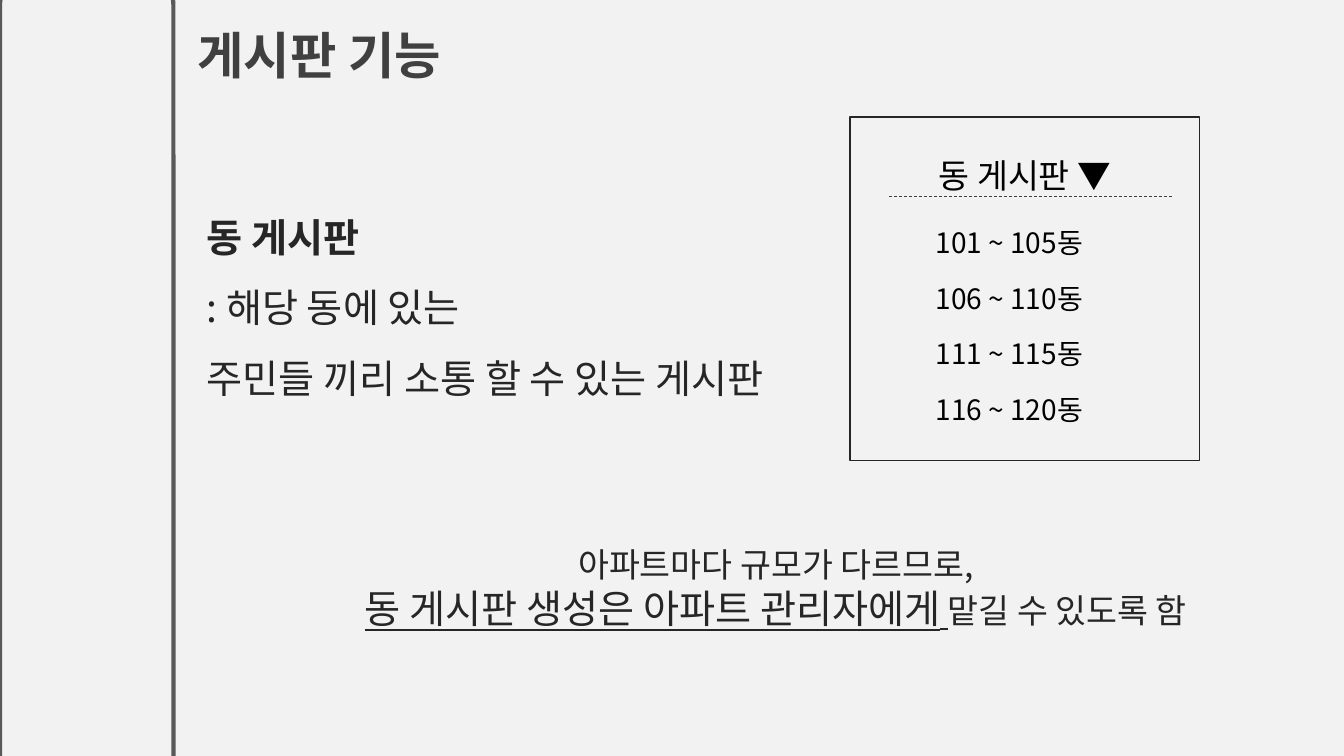
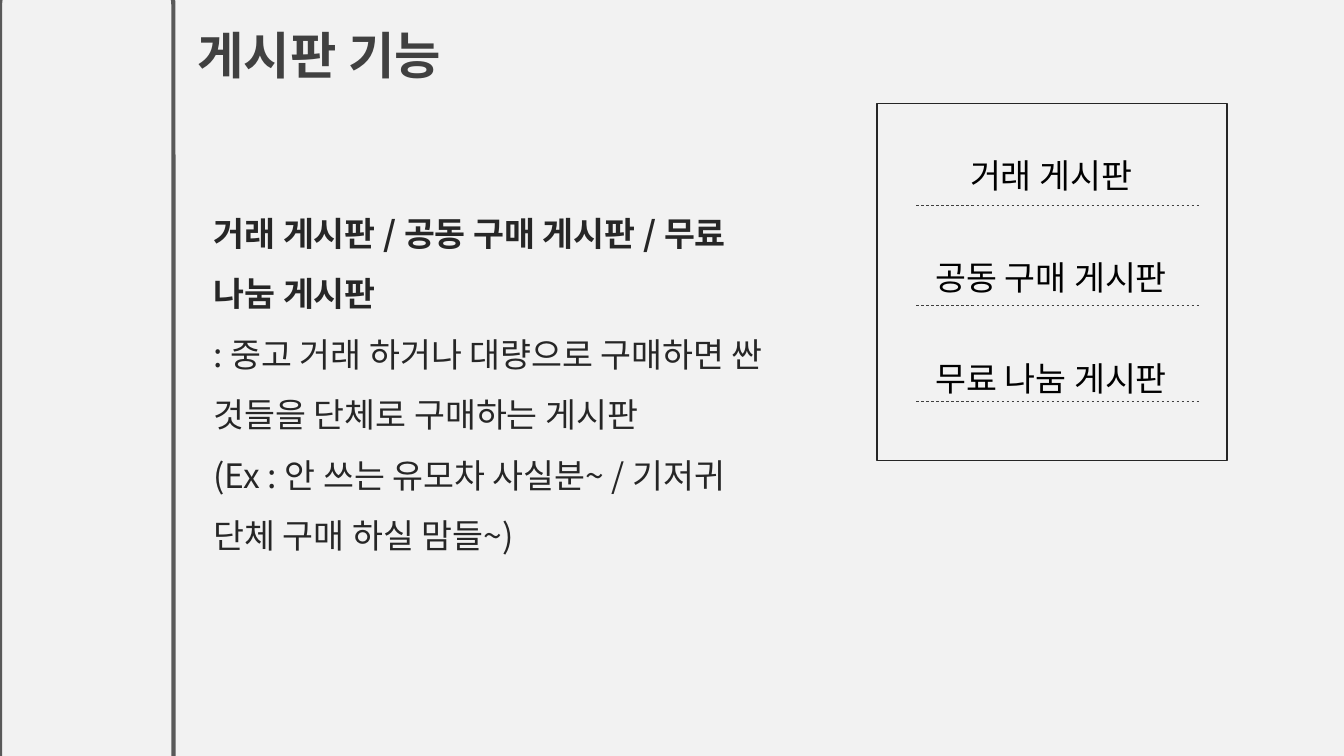
from lxml import etree
from pptx import Presentation
from pptx.dml.color import RGBColor
from pptx.enum import dml, shapes, text
from pptx.oxml import ns
from pptx.util import Inches, Pt

FONT = "Noto Sans CJK KR"
PAPER = RGBColor(0xF2, 0xF2, 0xF2)
RAIL = RGBColor(0x59, 0x59, 0x59)
HEADING = RGBColor(0x40, 0x40, 0x40)
INK = RGBColor(0x26, 0x26, 0x26)
BLACK = RGBColor(0, 0, 0)
CENTER = text.PP_ALIGN.CENTER

# Content: a paragraph is a list of runs (words, size, bold, underline)
TITLE = "게시판 기능"

BLOCK_BOARD = [
    [("동 게시판", 28, True, False)],
    [(": 해당 동에 있는", 28, False, False)],
    [("주민들 끼리 소통 할 수 있는 게시판", 28, False, False)],
]
BLOCK_MENU = "동 게시판 ▼"
BLOCK_RANGES = ["101 ~ 105동", "106 ~ 110동", "111 ~ 115동", "116 ~ 120동"]
BLOCK_NOTE = [
    [("아파트마다 규모가 다르므로,", 24, False, False)],
    [("동 게시판 생성은 아파트 관리자에게", 28, False, True),
     (" ", 24, False, True),
     ("맡길 수 있도록 함", 24, False, False)],
]

TRADE_BOARD = [
    [("거래 게시판 / 공동 구매 게시판 / 무료 나눔 게시판", 24, True, False)],
    [(": 중고 거래 하거나 대량으로 구매하면 싼 것들을 단체로 구매하는 게시판",
      24, False, False)],
    [("(Ex : 안 쓰는 유모차 사실분~ / 기저귀 단체 구매 하실 맘들~)",
      24, False, False)],
]
# Menu entry, text left, text width, y of the rule below it
TRADE_MENU = [
    ("거래 게시판", 9.49, 1.87, 2.04),
    ("공동 구매 게시판", 9.08, 2.69, 3.03),
    ("무료 나눔 게시판", 9.08, 2.69, 3.98),
]


def add_text(slide, box, paragraphs, color, wrap=True, align=None, spacing=None):
    frame = slide.shapes.add_textbox(*map(Inches, box)).text_frame
    frame.word_wrap = wrap
    frame.auto_size = text.MSO_AUTO_SIZE.SHAPE_TO_FIT_TEXT
    for i, runs in enumerate(paragraphs):
        paragraph = frame.paragraphs[0] if i == 0 else frame.add_paragraph()
        paragraph.alignment = align
        paragraph.line_spacing = spacing
        for words, size, bold, underline in runs:
            run = paragraph.add_run()
            run.text = words
            font = run.font
            font.size, font.bold, font.underline = Pt(size), bold, underline
            font.color.rgb = color
            font.name = FONT
            # Hangul takes the East Asian typeface
            etree.SubElement(run._r.get_or_add_rPr(), ns.qn("a:ea"), typeface=FONT)


def add_label(slide, box, words, size, **style):
    add_text(slide, box, [[(words, size, False, False)]], BLACK, wrap=False, **style)


def add_outline(slide, kind, box, color, weight):
    outline = slide.shapes.add_shape(kind, *map(Inches, box))
    outline.shadow.inherit = False
    outline.fill.background()
    outline.line.color.rgb = color
    outline.line.width = Pt(weight)


def add_menu_frame(slide, left, top, height):
    add_outline(slide, shapes.MSO_SHAPE.RECTANGLE, (left, top, 3.47, height), INK, 1)


def add_menu_entry(slide, words, left, top, width):
    add_label(slide, (left, top, width, 0.94), words, 24, align=CENTER, spacing=2.5)


def add_menu_rule(slide, frame_left, y):
    left = frame_left + 0.39
    rule = slide.shapes.add_connector(
        shapes.MSO_CONNECTOR.STRAIGHT,
        Inches(left), Inches(y), Inches(left + 2.82), Inches(y))
    rule.line.color.rgb = HEADING
    rule.line.width = Pt(0.5)
    rule.line.dash_style = dml.MSO_LINE.DASH
    etree.SubElement(rule._element.spPr, ns.qn("a:effectLst"))


def add_page(prs):
    """Blank slide with the side rail and title."""
    slide = prs.slides.add_slide(prs.slide_layouts[6])
    add_outline(slide, shapes.MSO_SHAPE.ROUNDED_RECTANGLE,
                (0, -0.24, 1.72, 8.11), RAIL, 3)
    add_text(slide, (1.86, 0.19, 2.72, 0.71), [[(TITLE, 36, True, False)]],
             HEADING, wrap=False)
    return slide


def build_block_page(prs):
    slide = add_page(prs)
    add_text(slide, (1.95, 1.83, 6.22, 2.14), BLOCK_BOARD, INK, spacing=1.5)

    # Drop-down menu of building ranges
    frame_left = 8.43
    add_menu_frame(slide, frame_left, 1.16, 3.41)
    add_menu_entry(slide, BLOCK_MENU, 9.18, 0.89, 1.97)
    add_menu_rule(slide, frame_left, 1.95)
    for i, words in enumerate(BLOCK_RANGES):
        add_label(slide, (9.18, 2.19 + 0.55 * i, 1.91, 0.44), words, 20)

    add_text(slide, (3.22, 5.35, 8.95, 0.98), BLOCK_NOTE, INK, align=CENTER)


def build_trade_page(prs):
    slide = add_page(prs)
    add_text(slide, (2.02, 1.86, 5.86, 3.67), TRADE_BOARD, INK, spacing=1.5)

    # Menu of trading boards
    frame_left = 8.7
    add_menu_frame(slide, frame_left, 1.03, 3.54)
    for i, (words, left, width, rule_y) in enumerate(TRADE_MENU):
        add_menu_entry(slide, words, left, 0.89 + 1.005 * i, width)
        add_menu_rule(slide, frame_left, rule_y)


def main():
    prs = Presentation()
    prs.slide_width, prs.slide_height = Inches(13.33), Inches(7.5)
    backdrop = prs.slide_master.background.fill
    backdrop.solid()
    backdrop.fore_color.rgb = PAPER
    build_block_page(prs)
    build_trade_page(prs)
    prs.save("out.pptx")


if __name__ == "__main__":
    main()
